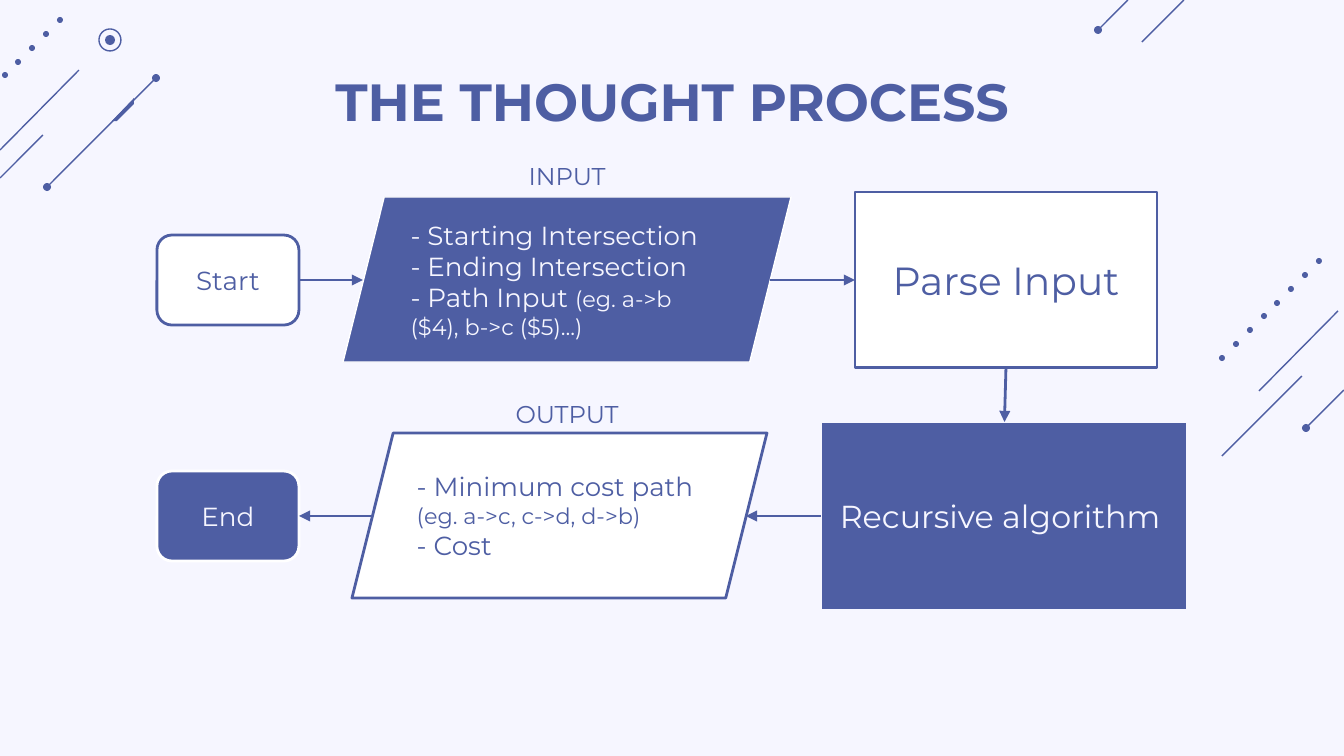
import pptx
import pptx.util
import pptx.dml.color
import pptx.enum.shapes
import pptx.enum.text
import pptx.oxml.ns
import lxml.etree

PX = 6804
INDIGO = pptx.dml.color.RGBColor(0x4E, 0x5E, 0xA3)
PALE = pptx.dml.color.RGBColor(0xF6, 0xF6, 0xFF)
WHITE = pptx.dml.color.RGBColor(0xFF, 0xFF, 0xFF)
SHAPE = pptx.enum.shapes.MSO_SHAPE
ALIGN = pptx.enum.text.PP_ALIGN
ANCHOR = pptx.enum.text.MSO_ANCHOR
qn = pptx.oxml.ns.qn

deck = pptx.Presentation()
deck.slide_width, deck.slide_height = 1344 * PX, 756 * PX
slide = deck.slides.add_slide(deck.slide_layouts[5])
slide.background.fill.solid()
slide.background.fill.fore_color.rgb = PALE


def add_line(x1, y1, x2, y2, width):
    line = slide.shapes.add_connector(
        pptx.enum.shapes.MSO_CONNECTOR.STRAIGHT, x1 * PX, y1 * PX, x2 * PX, y2 * PX)
    line.line.color.rgb = INDIGO
    line.line.width = pptx.util.Pt(width)
    lxml.etree.SubElement(line._element.spPr, qn("a:effectLst"))
    return line


def write(box, paragraphs, color, align, anchor, inset, bold=False):
    frame = box.text_frame
    margins = {"margin_left": 13 * PX, "margin_right": 13 * PX,
               "margin_top": inset * PX, "margin_bottom": inset * PX}
    for name, value in {"word_wrap": True, "vertical_anchor": anchor, **margins}.items():
        setattr(frame, name, value)
    for index, runs in enumerate(paragraphs):
        para = frame.add_paragraph() if index else frame.paragraphs[0]
        para.alignment = align
        for text, size in runs:
            span = para.add_run()
            span.text = text
            formats = {"name": "Montserrat", "size": pptx.util.Pt(size), "bold": bold}
            for name, value in formats.items():
                setattr(span.font, name, value)
            span.font.color.rgb = color


for line_ends in [
    (1338, 311, 1259, 391), (1302, 376, 1222, 456), (1344, 390, 1306, 428),
    (79, 70, 0, 150), (43, 135, 0, 178), (156, 78, 47, 187),
    (1184, 0, 1142, 42), (1128, 0, 1098, 30),
]:
    add_line(*line_ends, 0.75)

dots = [(1306, 428, 8), (156, 78, 8), (47, 187, 8), (1098, 30, 8), (110, 40, 10)]
for x, y, count in [(1319, 261, 8), (60, 20, 5)]:
    dots += [(x - round(step * 13.86), y + round(step * 13.86), 6) for step in range(count)]
for x, y, size in dots:
    dot = slide.shapes.add_shape(
        SHAPE.OVAL, (x - size // 2) * PX, (y - size // 2) * PX, size * PX, size * PX)
    dot.shadow.inherit = False
    dot.fill.solid()
    dot.fill.fore_color.rgb = INDIGO
    dot.line.fill.background()

ring = slide.shapes.add_shape(SHAPE.OVAL, 99 * PX, 29 * PX, 22 * PX, 22 * PX)
ring.shadow.inherit = False
ring.fill.background()
ring.line.color.rgb = INDIGO
ring.line.width = pptx.util.Pt(0.75)

builder = slide.shapes.build_freeform(134, 98, scale=PX)
builder.add_line_segments([(112, 121), (117, 121), (134, 104)], close=True)
stripe = builder.convert_to_shape()
stripe.shadow.inherit = False
stripe.fill.solid()
stripe.fill.fore_color.rgb = INDIGO
stripe.line.fill.background()

title = slide.shapes.title
for name, value in {"left": 115, "top": 69, "width": 1114, "height": 84}.items():
    setattr(title, name, value * PX)
write(title, [[("THE THOUGHT PROCESS", 28)]], INDIGO, ALIGN.CENTER, ANCHOR.TOP, 0, True)

boxes = {}
for key, kind, (x, y, w, h), fill, outline, weight, color, align, paragraphs in [
    ("parse", SHAPE.RECTANGLE, (855, 192, 302, 176), WHITE, INDIGO, 1.5, INDIGO,
     ALIGN.CENTER, [[("Parse Input", 21)]]),
    ("start", SHAPE.ROUNDED_RECTANGLE, (157, 235, 142, 90), WHITE, INDIGO, 1.5, INDIGO,
     ALIGN.CENTER, [[("Start", 14)]]),
    ("input", SHAPE.PARALLELOGRAM, (343, 197, 448, 165), INDIGO, WHITE, 0.75, PALE,
     ALIGN.LEFT, [[("- Starting Intersection", 14)], [("- Ending Intersection", 14)],
                  [("- Path Input ", 14), ("(eg. a->b ($4), b->c ($5)...)", 12)]]),
    ("recursive", SHAPE.RECTANGLE, (821, 422, 367, 188), INDIGO, PALE, 1.5, PALE,
     ALIGN.CENTER, [[("Recursive algorithm ", 17)]]),
    ("output", SHAPE.PARALLELOGRAM, (352, 433, 415, 165), WHITE, INDIGO, 1.5, INDIGO,
     ALIGN.LEFT, [[("- Minimum cost path", 14)], [("(eg. a->c, c->d, d->b)", 12)],
                  [("- Cost", 14)]]),
    ("end", SHAPE.ROUNDED_RECTANGLE, (157, 471, 142, 90), INDIGO, WHITE, 1.5, PALE,
     ALIGN.CENTER, [[("End", 14)]]),
]:
    box = slide.shapes.add_shape(kind, x * PX, y * PX, w * PX, h * PX)
    box.shadow.inherit = False
    box.fill.solid()
    box.fill.fore_color.rgb = fill
    box.line.color.rgb = outline
    box.line.width = pptx.util.Pt(weight)
    write(box, paragraphs, color, align, ANCHOR.MIDDLE, 13)
    boxes[key] = box

for ends, source, target in [
    ((299, 280, 363, 280), ("start", 3), None),
    ((770, 280, 855, 280), None, ("parse", 1)),
    ((1006, 368, 1004, 422), ("parse", 2), ("recursive", 0)),
    ((821, 516, 746, 516), ("recursive", 1), None),
    ((373, 516, 299, 516), None, ("end", 3)),
]:
    arrow = add_line(*ends, 1.5)
    if source:
        arrow.begin_connect(boxes[source[0]], source[1])
    if target:
        arrow.end_connect(boxes[target[0]], target[1])
    lxml.etree.SubElement(arrow.line._get_or_add_ln(), qn("a:tailEnd"), type="triangle")

for text, y in [("INPUT", 156), ("OUTPUT", 394)]:
    label = slide.shapes.add_textbox(484 * PX, y * PX, 166 * PX, 39 * PX)
    write(label, [[(text, 13)]], INDIGO, ALIGN.CENTER, ANCHOR.MIDDLE, 13)

deck.save("out.pptx")
